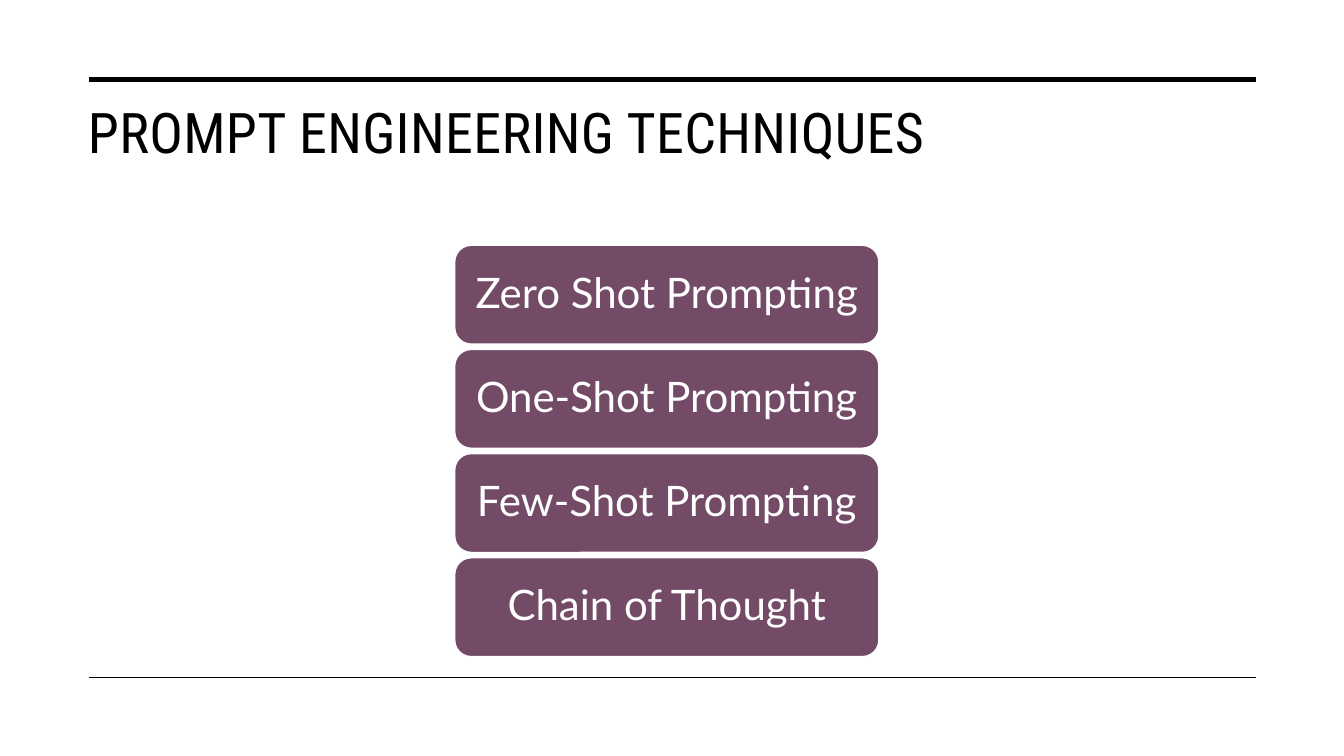
from lxml.etree import SubElement
from pptx import Presentation
from pptx.dml.color import RGBColor
from pptx.enum.shapes import MSO_CONNECTOR as Connector, MSO_SHAPE as Shape
from pptx.enum.text import MSO_ANCHOR as Anchor, PP_ALIGN as Align
from pptx.oxml.ns import qn
from pptx.util import Pt

TITLE = "PROMPT ENGINEERING TECHNIQUES"
TECHNIQUES = [
    "Zero Shot Prompting",
    "One-Shot Prompting",
    "Few-Shot Prompting",
    "Chain of Thought",
]
RULES = [(56.9, 3.5), (483.8, 1)]

BLACK = RGBColor(0, 0, 0)
WHITE = RGBColor(255, 255, 255)
PLUM = RGBColor(0x73, 0x4B, 0x67)

RULE_LEFT, RULE_RIGHT = 63.4, 897.1
BOX_LEFT, BOX_TOP, BOX_WIDTH, BOX_HEIGHT = 324.8, 175.2, 303, 70.6
BOX_PITCH = 74.4


def write(shape, text, font, size, color, align, anchor):
    frame = shape.text_frame
    frame.text = text
    frame.word_wrap = True
    frame.vertical_anchor = anchor
    para = frame.paragraphs[0]
    para.alignment = align
    para.line_spacing = 0.9
    span = para.runs[0]
    span.font.name = font
    span.font.size = Pt(size)
    span.font.color.rgb = color
    return span


def add_rule(page, y, weight):
    rule = page.shapes.add_connector(
        Connector.STRAIGHT, Pt(RULE_LEFT), Pt(y), Pt(RULE_RIGHT), Pt(y))
    rule.line.color.rgb = BLACK
    rule.line.width = Pt(weight)
    SubElement(rule._element.spPr, qn("a:effectLst"))


def add_technique(page, index, text):
    box = page.shapes.add_shape(
        Shape.ROUNDED_RECTANGLE, Pt(BOX_LEFT), Pt(BOX_TOP + index * BOX_PITCH),
        Pt(BOX_WIDTH), Pt(BOX_HEIGHT))
    box.shadow.inherit = False
    box.fill.solid()
    box.fill.fore_color.rgb = PLUM
    box.line.color.rgb = WHITE
    box.line.width = Pt(1)
    frame = box.text_frame
    frame.margin_left = frame.margin_right = Pt(9)
    frame.margin_top = frame.margin_bottom = Pt(4)
    write(box, text, "Lato", 30, WHITE, Align.CENTER, Anchor.MIDDLE)


def main():
    deck = Presentation()
    deck.slide_width, deck.slide_height = Pt(960), Pt(540)
    page = deck.slides.add_slide(deck.slide_layouts[5])

    title = page.shapes.title
    title.left, title.top, title.width, title.height = (
        Pt(55.6), Pt(71.4), Pt(841.6), Pt(90.6))
    span = write(title, TITLE, "Roboto Condensed", 40, BLACK, Align.LEFT, Anchor.TOP)
    span.font._element.set("spc", "30")

    for y, weight in RULES:
        add_rule(page, y, weight)
    for index, text in enumerate(TECHNIQUES):
        add_technique(page, index, text)

    deck.save("out.pptx")


if __name__ == "__main__":
    main()
